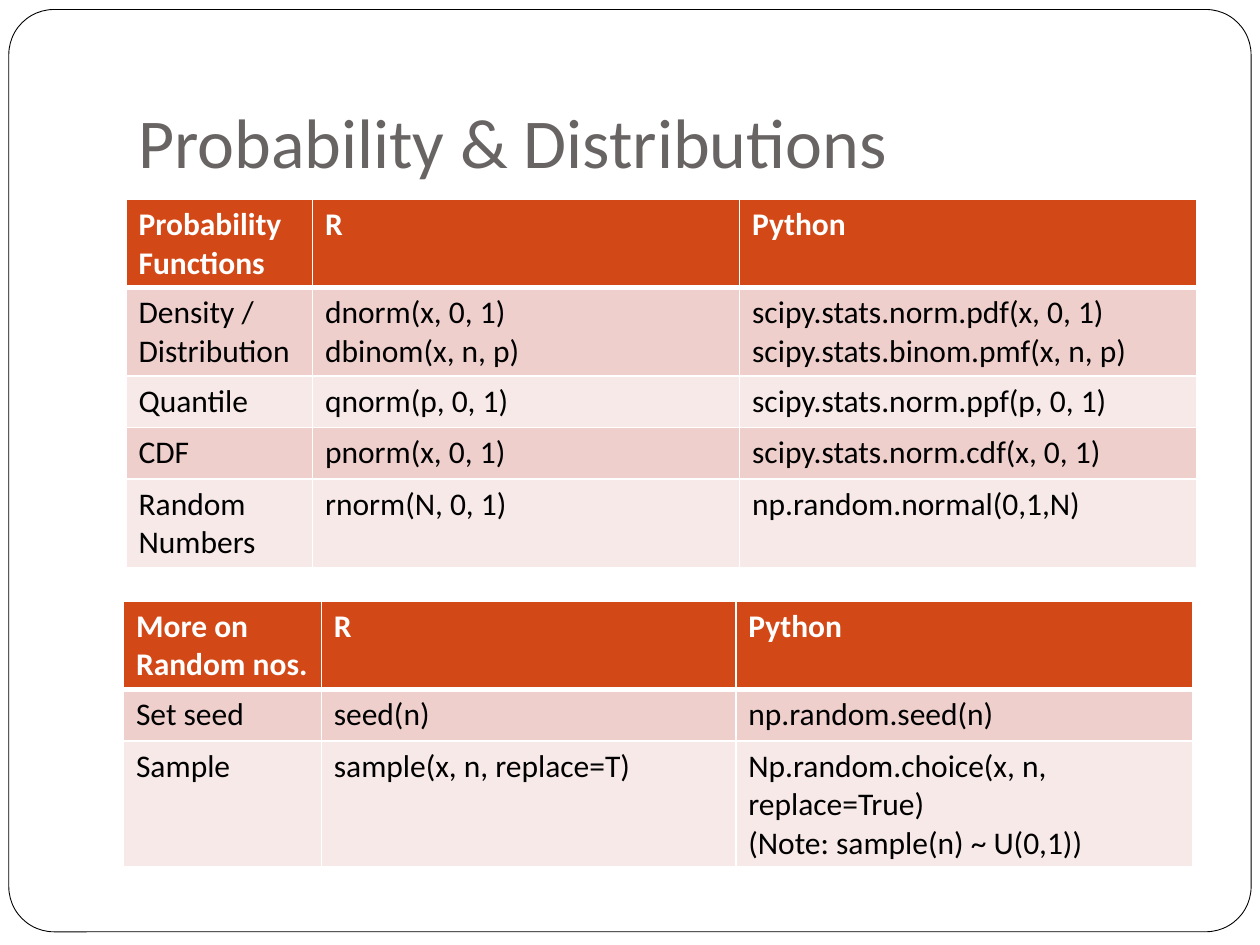
"""Build a slide comparing probability functions in R and Python."""
from dataclasses import dataclass

from lxml.etree import SubElement
from pptx import Presentation
from pptx.dml.color import RGBColor
from pptx.enum.shapes import MSO_SHAPE as Preset
from pptx.enum.text import MSO_ANCHOR as Anchor
from pptx.oxml.ns import qn
from pptx.util import Inches, Pt

WIDTH, HEIGHT = 10, 7.5
FONT = "Calibri"
ROW_HEIGHT = 0.41
COLORS = {
    "paper": "FFFFFF",
    "ink": "000000",
    "title": "696464",
    "header": "D34817",
    "odd": "EFCFCC",
    "even": "F7E9E8",
}


@dataclass(frozen=True)
class Comparison:
    left: float
    top: float
    columns: tuple[float, ...]
    rows: tuple[tuple[str, ...], ...]


COMPARISONS = (
    Comparison(0.1, 0.211, (1.48, 3.39, 3.63), (
        ("Probability Functions", "R", "Python"),
        ("Density / Distribution", "dnorm(x, 0, 1)\vdbinom(x, n, p)",
         "scipy.stats.norm.pdf(x, 0, 1)\vscipy.stats.binom.pmf(x, n, p)"),
        ("Quantile", "qnorm(p, 0, 1)", "scipy.stats.norm.ppf(p, 0, 1)"),
        ("CDF", "pnorm(x, 0, 1)", "scipy.stats.norm.cdf(x, 0, 1)"),
        ("Random Numbers", "rnorm(N, 0, 1)", "np.random.normal(0,1,N)"),
    )),
    Comparison(0.098, 0.636, (1.57, 3.29, 3.63), (
        ("More on Random nos.", "R", "Python"),
        ("Set seed", "seed(n)", "np.random.seed(n)"),
        ("Sample", "sample(x, n, replace=T)",
         "Np.random.choice(x, n, replace=True)\n(Note: sample(n) ~ U(0,1))"),
    )),
)


def color(name: str) -> RGBColor:
    return RGBColor.from_string(COLORS[name])


def place(left: float, top: float, width: float, height: float) -> tuple:
    return (Inches(left * WIDTH), Inches(top * HEIGHT),
            Inches(width * WIDTH), Inches(height * HEIGHT))


def write(frame, text: str, size: float, ink: str, bold: bool = False) -> None:
    frame.text = text
    for paragraph in frame.paragraphs:
        for run in paragraph.runs:
            run.font.name = FONT
            run.font.size = Pt(size)
            run.font.bold = bold
            run.font.color.rgb = color(ink)


def rule_cell(cell, top: float, bottom: float) -> None:
    properties = cell._tc.get_or_add_tcPr()
    for side, points in (("L", 1), ("R", 1), ("T", top), ("B", bottom)):
        edge = SubElement(properties, qn(f"a:ln{side}"), w=str(Pt(points)))
        fill = SubElement(edge, qn("a:solidFill"))
        SubElement(fill, qn("a:srgbClr"), val=COLORS["paper"])


def draw_frame(slide) -> None:
    frame = slide.shapes.add_shape(
        Preset.ROUNDED_RECTANGLE, *place(0.007, 0.01, 0.986, 0.976))
    frame.adjustments[0] = 0.049
    frame.shadow.inherit = False
    frame.fill.solid()
    frame.fill.fore_color.rgb = color("paper")
    frame.line.color.rgb = color("ink")
    frame.line.width = Pt(0.5)


def draw_title(slide, text: str) -> None:
    title = slide.shapes.add_textbox(*place(0.1, 0.04, 0.85, 1 / 6)).text_frame
    title.word_wrap = True
    title.vertical_anchor = Anchor.BOTTOM
    title.margin_bottom = Inches(0.1)
    write(title, text, 40, "title")


def draw_comparison(slide, comparison: Comparison) -> None:
    rows, columns = comparison.rows, comparison.columns
    table = slide.shapes.add_table(
        len(rows), len(columns),
        *place(comparison.left, comparison.top, sum(columns) / WIDTH,
               len(rows) * ROW_HEIGHT / HEIGHT)).table
    for column, width in zip(table.columns, columns):
        column.width = Inches(width)
    for r, row in enumerate(rows):
        is_header = r == 0
        band = "header" if is_header else "odd" if r % 2 else "even"
        for c, text in enumerate(row):
            cell = table.cell(r, c)
            rule_cell(cell, 3 if r == 1 else 1, 3 if is_header else 1)
            cell.fill.solid()
            cell.fill.fore_color.rgb = color(band)
            write(cell.text_frame, text, 18,
                  "paper" if is_header else "ink", is_header)


def main() -> None:
    deck = Presentation()
    deck.slide_width, deck.slide_height = Inches(WIDTH), Inches(HEIGHT)
    slide = deck.slides.add_slide(deck.slide_layouts[6])
    draw_frame(slide)
    draw_title(slide, "Probability & Distributions")
    for comparison in COMPARISONS:
        draw_comparison(slide, comparison)
    deck.save("out.pptx")


if __name__ == "__main__":
    main()
